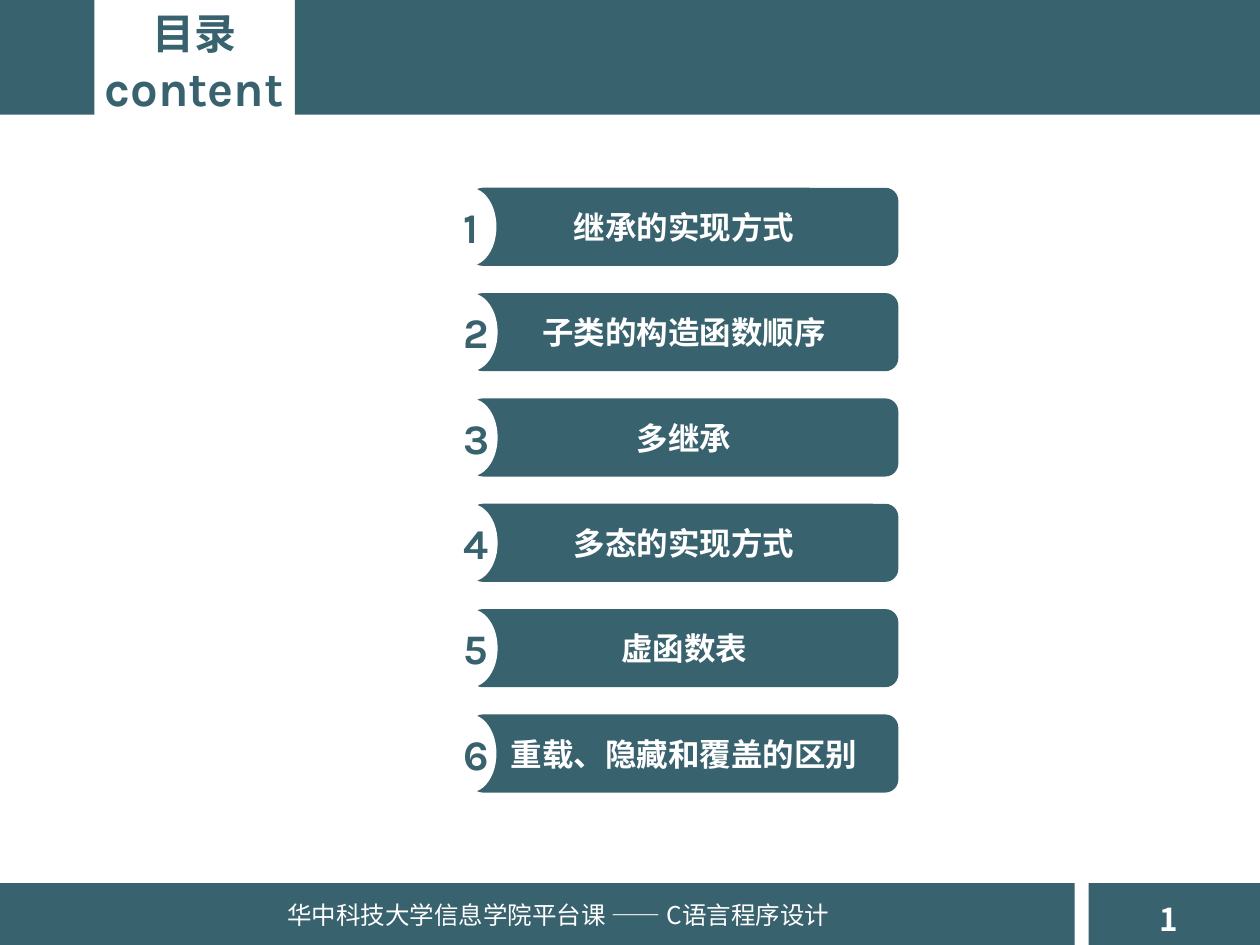
from pptx import Presentation
from pptx.dml.color import RGBColor
from pptx.enum import shapes, text
from pptx.oxml.ns import qn
from pptx.util import Inches, Pt

TEAL, WHITE = "39626F", "FFFFFF"
HAN, LATIN = "Noto Sans CJK SC", "Karla"
KINDS = shapes.MSO_SHAPE
CENTER = text.PP_ALIGN.CENTER


def add_block(kind, box, fill):
    block = slide.shapes.add_shape(kind, *map(Inches, box))
    block.shadow.inherit = False
    block.fill.solid()
    block.fill.fore_color.rgb = RGBColor.from_string(fill)
    block.line.fill.background()
    block.text_frame.word_wrap = True
    block.text_frame.vertical_anchor = text.MSO_ANCHOR.MIDDLE
    return block


def write(paragraph, words, size, face, color, bold=True, align=CENTER):
    paragraph.alignment = align
    run = paragraph.add_run()
    run.text = words
    run.font.size = Pt(size)
    run.font.bold = bold
    run.font.name = face
    run.font.color.rgb = RGBColor.from_string(color)
    east_asian = run.font._element.makeelement(qn("a:ea"), {"typeface": face})
    run.font._element.find(qn("a:latin")).addnext(east_asian)


deck = Presentation()
deck.slide_width, deck.slide_height = Inches(10), Inches(7.5)
slide = deck.slides.add_slide(deck.slide_layouts[6])

for band in [(0, 0, 0.75, 0.91), (2.34, 0, 7.66, 0.91),
             (0, 7.01, 8.53, 0.49), (8.64, 7.01, 1.36, 0.49)]:
    add_block(KINDS.RECTANGLE, band, TEAL)

for words, box, size, bold in [
    ("1", (9.1, 7.09, 0.55, 0.4), 18, True),
    ("华中科技大学信息学院平台课 —— C语言程序设计", (2.18, 7.09, 4.6, 0.34), 14, False),
]:
    footer = slide.shapes.add_textbox(*map(Inches, box)).text_frame
    footer.word_wrap = False
    footer.auto_size = text.MSO_AUTO_SIZE.SHAPE_TO_FIT_TEXT
    write(footer.paragraphs[0], words, size, HAN, WHITE, bold, text.PP_ALIGN.LEFT)

heading = slide.shapes.add_textbox(Inches(0.73), Inches(0.01), Inches(1.62), Inches(0.98)).text_frame
heading.word_wrap = False
heading.auto_size = text.MSO_AUTO_SIZE.SHAPE_TO_FIT_TEXT
write(heading.paragraphs[0], "目录", 24, HAN, TEAL)
write(heading.add_paragraph(), "content", 28, LATIN, TEAL)

topics = ["继承的实现方式", "子类的构造函数顺序", "多继承",
          "多态的实现方式", "虚函数表", "重载、隐藏和覆盖的区别"]
first_top, last_top = 1.49, 5.67
pitch = (last_top - first_top) / (len(topics) - 1)
for index, topic in enumerate(topics):
    top = first_top + index * pitch
    bar = add_block(KINDS.ROUNDED_RECTANGLE, (3.73, top, 3.4, 0.62), TEAL)
    write(bar.text_frame.paragraphs[0], topic, 18, HAN, WHITE)
    badge_width = 0.42 if index in (0, len(topics) - 1) else 0.43
    badge = add_block(KINDS.OVAL, (3.52, top, badge_width, 0.62), WHITE)
    write(badge.text_frame.paragraphs[0], str(index + 1), 24, LATIN, TEAL)

deck.save("out.pptx")
